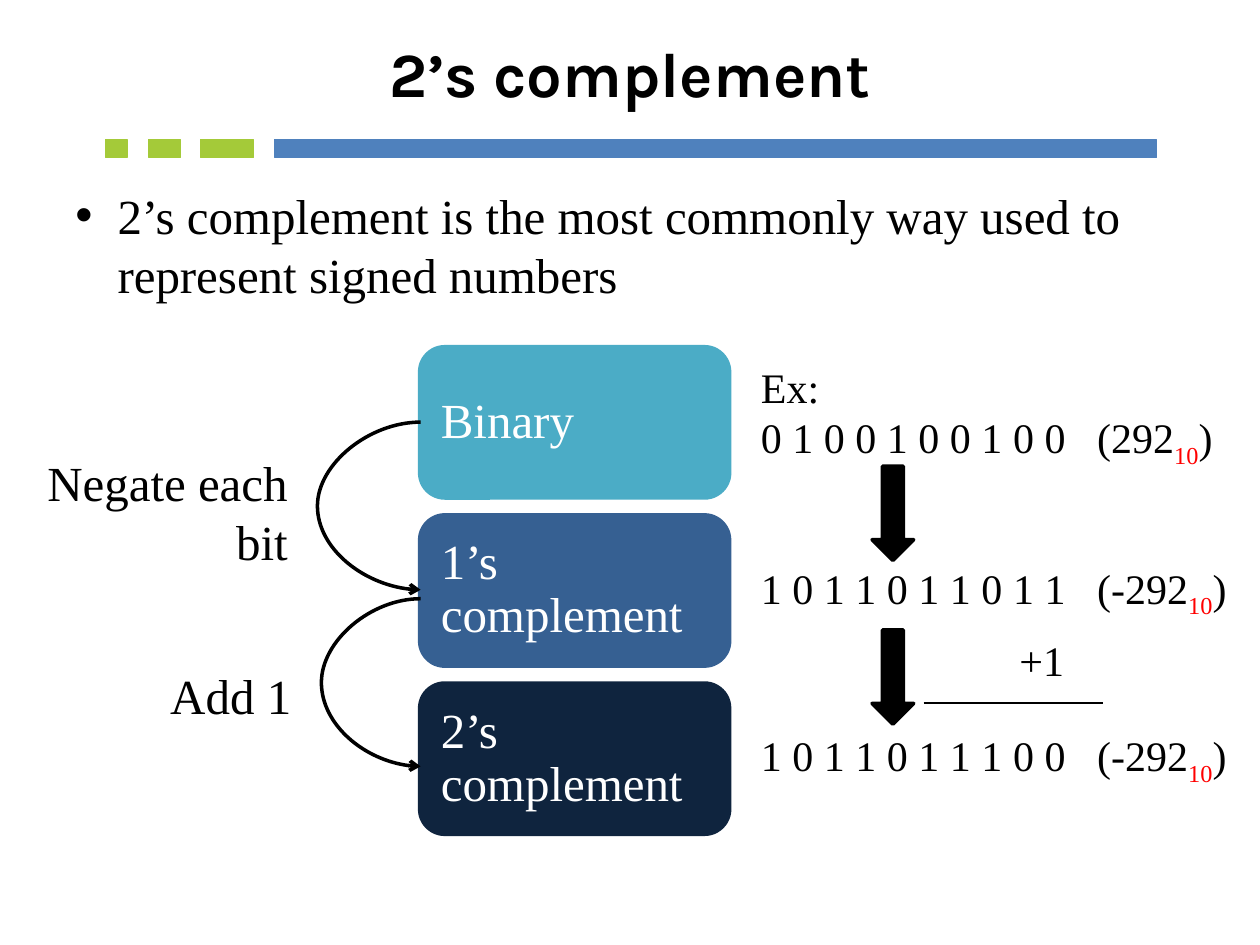
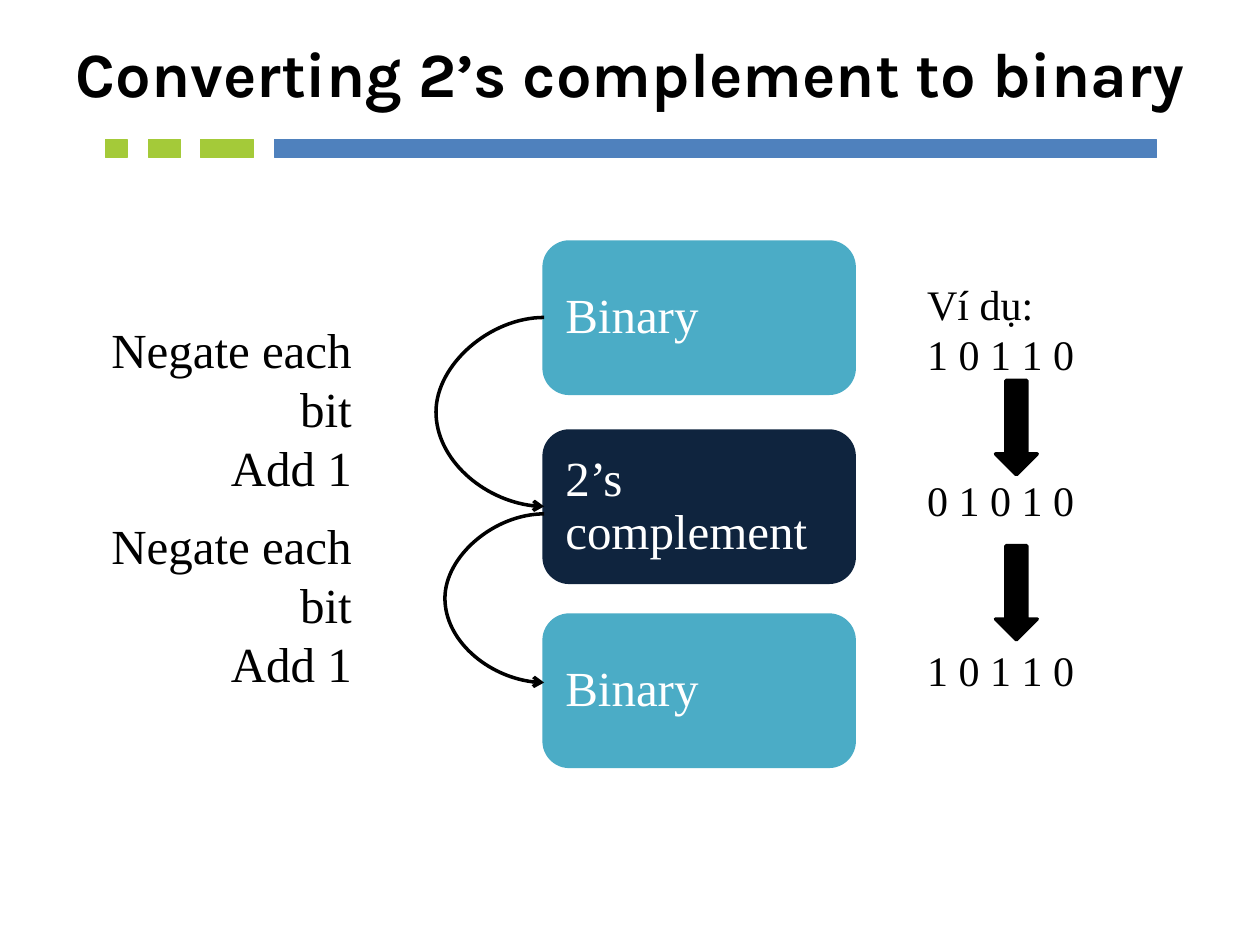
from dataclasses import dataclass

import lxml.etree
import pptx
import pptx.dml.color
import pptx.enum.shapes
import pptx.enum.text
import pptx.oxml.ns
import pptx.util

Cm = pptx.util.Cm
Pt = pptx.util.Pt
qn = pptx.oxml.ns.qn
Preset = pptx.enum.shapes.MSO_SHAPE
Align = pptx.enum.text.PP_ALIGN
Anchor = pptx.enum.text.MSO_ANCHOR

# Shared colours, fonts and sizes
BLACK, WHITE, RED = "000000", "FFFFFF", "FF0000"
BLUE, GREEN = "4F81BD", "A4CA39"
TEAL, STEEL, NAVY = "4BACC6", "366092", "0F243E"
TITLE_FONT, BODY_FONT = "Karla", "Times New Roman"
LARGE, SMALL = 28, 24
BASE_TAB = 6.78


@dataclass(frozen=True)
class Box:
    left: float
    top: float
    width: float
    height: float

    def lengths(self) -> list:
        return [Cm(n) for n in (self.left, self.top, self.width, self.height)]


@dataclass(frozen=True)
class Run:
    text: str
    color: str = BLACK
    subscript: bool = False


@dataclass(frozen=True)
class TextStyle:
    size: float = SMALL
    font: str = BODY_FONT
    bold: bool = False
    align: Align = Align.LEFT
    anchor: Anchor = Anchor.TOP
    inset: float = 0.1
    line_spacing: float | None = None
    space_before: float | None = None


@dataclass(frozen=True)
class Note:
    box: Box
    lines: list[list[Run]]
    style: TextStyle = TextStyle()


@dataclass(frozen=True)
class Card:
    top: float
    text: str
    color: str


@dataclass(frozen=True)
class Diagram:
    cards_left: float
    cards: list[Card]
    curves: list[Box]
    arrows_left: float
    arrow_tops: list[float]
    notes: list[Note]


TITLE_STYLE = TextStyle(36, TITLE_FONT, True, Align.CENTER, Anchor.MIDDLE, 0.25)
CARD_STYLE = TextStyle(LARGE, anchor=Anchor.MIDDLE, inset=0.28,
                       line_spacing=0.9, space_before=11.8)
LABEL_STYLE = TextStyle(LARGE, align=Align.RIGHT)
BODY_STYLE = TextStyle(LARGE, inset=0.25)

TITLE_BOX = Box(1.27, 0.13, 22.86, 2.64)
BAND_PARTS = [(5.54, 17.78, BLUE), (2.13, 0.43, GREEN),
              (3.0, 0.64, GREEN), (4.04, 1.07, GREEN)]


def rgb(color: str) -> pptx.dml.color.RGBColor:
    return pptx.dml.color.RGBColor.from_string(color)


def stroke(shape, color: str, width: float, arrow: bool = False) -> None:
    shape.line.color.rgb = rgb(color)
    shape.line.width = Pt(width)
    line = shape.line._get_or_add_ln()
    lxml.etree.SubElement(line, qn("a:round"))
    if arrow:
        lxml.etree.SubElement(line, qn("a:tailEnd"), type="arrow")


def write(shape, lines: list[list[Run]], style: TextStyle) -> None:
    frame = shape.text_frame
    frame.word_wrap = True
    frame.vertical_anchor = style.anchor
    frame.margin_left = frame.margin_right = Cm(style.inset)
    frame.margin_top = frame.margin_bottom = Cm(min(style.inset, 0.13)
                                                if style.line_spacing is None
                                                else style.inset)
    for index, runs in enumerate(lines):
        paragraph = frame.add_paragraph() if index else frame.paragraphs[0]
        paragraph.alignment = style.align
        if style.line_spacing is not None:
            paragraph.line_spacing = style.line_spacing
            paragraph.space_before = Pt(style.space_before)
        if any("\t" in run.text for run in runs):
            tabs = lxml.etree.SubElement(paragraph._p.get_or_add_pPr(), qn("a:tabLst"))
            lxml.etree.SubElement(tabs, qn("a:tab"), pos=str(Cm(BASE_TAB)), algn="l")
        for item in runs:
            run = paragraph.add_run()
            run.text = item.text
            run.font.name = style.font
            run.font.size = Pt(style.size)
            run.font.bold = style.bold
            run.font.color.rgb = rgb(item.color)
            if item.subscript:
                run.font._element.set("baseline", "-25000")


def add_note(slide, note: Note):
    shape = slide.shapes.add_textbox(*note.box.lengths())
    write(shape, note.lines, note.style)
    return shape


def add_filled(slide, preset: Preset, box: Box, color: str, line_width: float):
    shape = slide.shapes.add_shape(preset, *box.lengths())
    shape.shadow.inherit = False
    shape.fill.solid()
    shape.fill.fore_color.rgb = rgb(color)
    stroke(shape, color, line_width)
    return shape


def add_curve(slide, box: Box) -> None:
    """Draw a left-bulging arc from the top right to the bottom right."""
    left, top, width, height = box.lengths()
    builder = slide.shapes.build_freeform(left + width, top)
    builder.add_line_segments([(left, top + height // 2),
                               (left + width, top + height)], close=False)
    shape = builder.convert_to_shape()
    shape.shadow.inherit = False
    shape.fill.background()
    stroke(shape, BLACK, 2, arrow=True)
    # Bend the two straight segments into Bezier curves
    bends = [[(0.5, 0), (0, 0.25)], [(0, 0.75), (0.5, 1)]]
    for segment, controls in zip(list(shape._element.iter(qn("a:lnTo"))), bends):
        segment.tag = qn("a:cubicBezTo")
        for index, (across, down) in enumerate(controls):
            point = lxml.etree.Element(qn("a:pt"), x=str(int(width * across)),
                                       y=str(int(height * down)))
            segment.insert(index, point)


def add_rule(slide, left: float, right: float, top: float) -> None:
    rule = slide.shapes.add_connector(pptx.enum.shapes.MSO_CONNECTOR.STRAIGHT,
                                      Cm(left), Cm(top), Cm(right), Cm(top))
    stroke(rule, BLACK, 1.5)
    lxml.etree.SubElement(rule._element.spPr, qn("a:effectLst"))


def add_bullet(slide, text: str) -> None:
    shape = add_note(slide, Note(Box(1.27, 3.61, 22.86, 13.41), [[Run(text)]], BODY_STYLE))
    properties = shape.text_frame.paragraphs[0]._p.get_or_add_pPr()
    properties.set("marL", str(Cm(0.85)))
    properties.set("indent", str(-Cm(0.85)))
    lxml.etree.SubElement(properties, qn("a:buFont"), typeface="Arial")
    lxml.etree.SubElement(properties, qn("a:buChar"), char="•")


def add_titled_slide(presentation, title: str):
    slide = presentation.slides.add_slide(presentation.slide_layouts[6])
    for left, width, color in BAND_PARTS:
        add_filled(slide, Preset.RECTANGLE, Box(left, 2.82, width, 0.36), color, 0.75)
    add_note(slide, Note(TITLE_BOX, [[Run(title)]], TITLE_STYLE))
    return slide


def add_diagram(slide, diagram: Diagram) -> None:
    for card in diagram.cards:
        box = Box(diagram.cards_left, card.top, 6.25, 3.05)
        shape = add_filled(slide, Preset.ROUNDED_RECTANGLE, box, card.color, 2)
        write(shape, [[Run(card.text, WHITE)]], CARD_STYLE)
    for curve in diagram.curves:
        add_curve(slide, curve)
    for top in diagram.arrow_tops:
        add_filled(slide, Preset.DOWN_ARROW,
                   Box(diagram.arrows_left, top, 0.84, 1.9), BLACK, 2)
    for note in diagram.notes:
        add_note(slide, note)


def number(bits: str, value: str) -> list[Run]:
    return [Run(f"{bits}\t({value}"), Run("10", RED, True), Run(")")]


def complement_diagram() -> Diagram:
    steps = [("Binary", TEAL), ("1’s complement", STEEL), ("2’s complement", NAVY)]
    return Diagram(
        cards_left=8.46,
        cards=[Card(6.99 + 3.39 * index, *step) for index, step in enumerate(steps)],
        curves=[Box(6.4, 8.51, 2.08, 3.38), Box(6.48, 12.07, 2.0, 3.38)],
        arrows_left=17.58,
        arrow_tops=[9.4, 12.7],
        notes=[
            Note(Box(15.24, 7.19, 10.16, 2.26),
                 [[Run("Ex:")], number("0 1 0 0 1 0 0 1 0 0", "292")]),
            Note(Box(15.24, 11.23, 10.16, 1.3), [number("1 0 1 1 0 1 1 0 1 1", "-292")]),
            Note(Box(15.24, 14.61, 10.16, 1.3), [number("1 0 1 1 0 1 1 1 0 0", "-292")]),
            Note(Box(20.45, 12.7, 2.36, 1.12), [[Run("+1")]]),
            Note(Box(0.64, 9.02, 5.26, 2.44), [[Run("Negate each bit")]], LABEL_STYLE),
            Note(Box(0.53, 13.31, 5.44, 1.3), [[Run("Add 1")]], LABEL_STYLE),
        ],
    )


def conversion_diagram() -> Diagram:
    instructions = [[Run("Negate each bit")], [Run("Add 1")]]
    return Diagram(
        cards_left=10.97,
        cards=[Card(4.88, "Binary", TEAL), Card(8.69, "2’s complement", NAVY),
               Card(12.4, "Binary", TEAL)],
        curves=[Box(8.79, 6.4, 2.18, 3.81), Box(8.97, 10.36, 2.0, 3.4)],
        arrows_left=20.07,
        arrow_tops=[7.67, 11.0],
        notes=[
            Note(Box(18.59, 5.51, 4.06, 2.08), [[Run("Ví dụ:")], [Run("1 0 1 1 0")]]),
            Note(Box(18.59, 9.47, 3.84, 1.12), [[Run("0 1 0 1 0")]]),
            Note(Box(18.59, 12.9, 3.84, 1.12), [[Run("1 0 1 1 0")]]),
            *[Note(Box(1.93, top, 5.26, 3.94), instructions, LABEL_STYLE)
              for top in (6.35, 10.29)],
        ],
    )


def main() -> None:
    presentation = pptx.Presentation()
    presentation.slide_width, presentation.slide_height = Cm(25.4), Cm(19.05)

    # From binary to 2's complement
    slide = add_titled_slide(presentation, "2’s complement")
    add_bullet(slide, "2’s complement is the most commonly way used to "
                      "represent signed numbers")
    add_diagram(slide, complement_diagram())
    add_rule(slide, 18.62, 22.23, 14.17)

    # And back again
    slide = add_titled_slide(presentation, "Converting 2’s complement to binary")
    add_diagram(slide, conversion_diagram())

    presentation.save("out.pptx")


if __name__ == "__main__":
    main()
